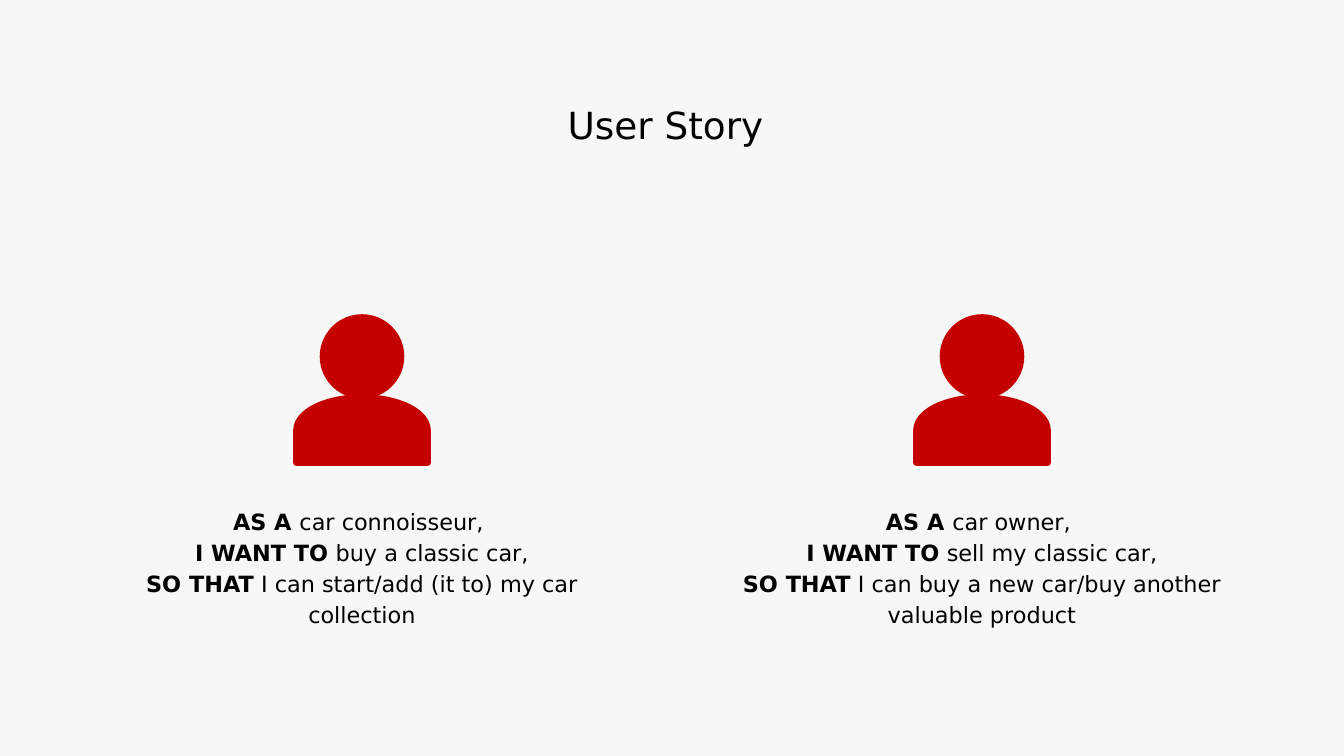
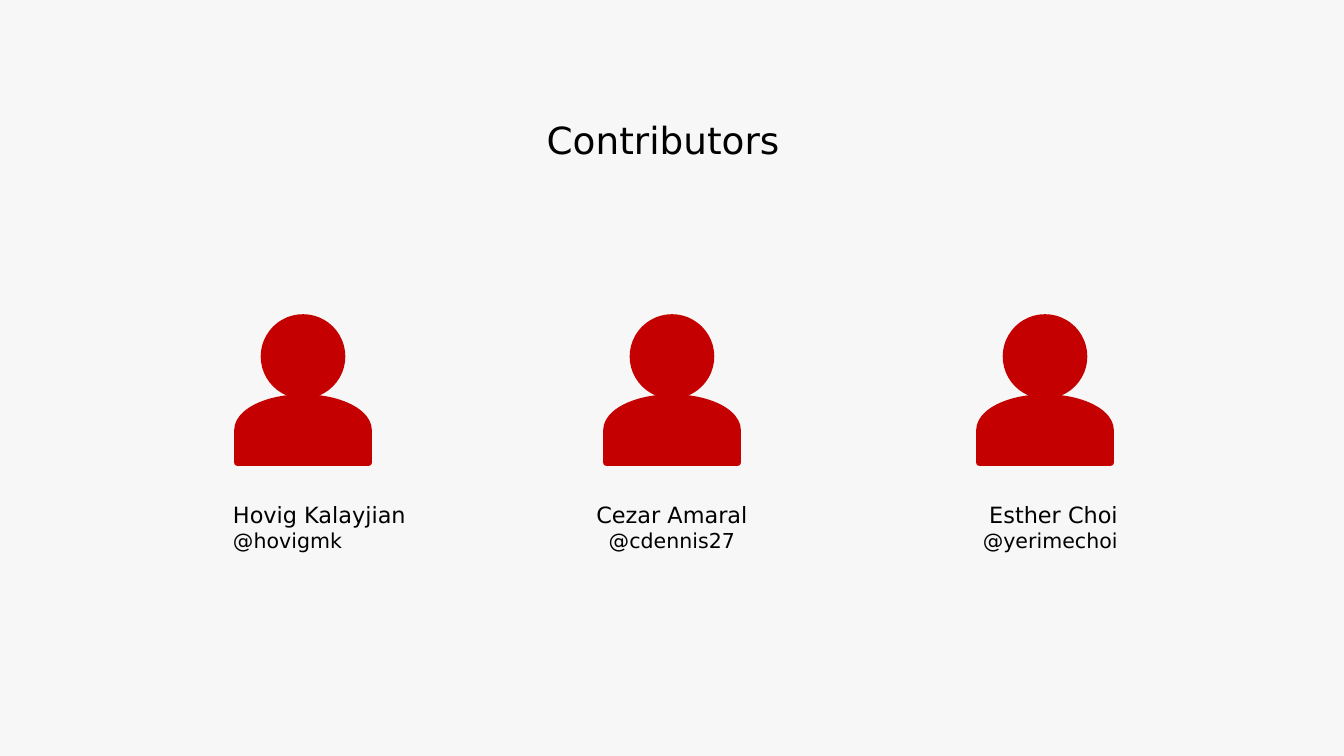
from pptx import Presentation
from pptx.dml.color import RGBColor
from pptx.enum.shapes import MSO_SHAPE
from pptx.enum.text import MSO_ANCHOR, MSO_AUTO_SIZE, PP_ALIGN
from pptx.util import Emu, Pt

FONT = "DejaVu Sans"
BACK, INK, RED = "F7F7F7", "000000", "C50000"
LEFT, MID, RIGHT = PP_ALIGN.LEFT, PP_ALIGN.CENTER, PP_ALIGN.RIGHT

# centre of the person, then the words after each bold lead
LEADS = ["AS A ", "I WANT TO", "SO THAT"]
STORIES = [
    (362, ["car connoisseur, ", " buy a classic car,",
           " I can start/add (it to) my car collection"]),
    (982, ["car owner, ", " sell my classic car,",
           " I can buy a new car/buy another valuable product"]),
]
# centre of the person, name, handle, text left, text width, alignment
TEAM = [
    (303, "Hovig Kalayjian", "@hovigmk", 220, 289, LEFT),
    (672, "Cezar Amaral", "@cdennis27", 549, 246, MID),
    (1045, "Esther Choi", "@yerimechoi", 908, 223, RIGHT),
]
STORY_W = 544
HEAD, HEAD_Y = 79, 317
BODY_W, BODY_H, BODY_Y = 66, 132, 430


def px(n):
    return Emu(round(n * 914400 / 134.4))


def place(*box):
    return [px(n) for n in box]


def color(code):
    return RGBColor.from_string(code)


def write(shape, paras, align=MID, space=None):
    """Fill a shape with paragraphs, each a list of (text, size, bold) runs."""
    frame = shape.text_frame
    frame.word_wrap = True
    frame.auto_size = MSO_AUTO_SIZE.NONE
    frame.vertical_anchor = MSO_ANCHOR.TOP
    frame.margin_left = frame.margin_right = px(13)
    frame.margin_top = frame.margin_bottom = px(13)
    for i, runs in enumerate(paras):
        para = frame.add_paragraph() if i else frame.paragraphs[0]
        para.alignment = align
        if space:
            para.line_spacing = space
        for text, size, bold in runs:
            run = para.add_run()
            run.text = text
            font = run.font
            font.name, font.size, font.bold = FONT, Pt(size), bold
            font.color.rgb = color(INK)


def start(deck, runs):
    slide = deck.slides.add_slide(deck.slide_layouts[5])
    title = slide.shapes.title
    title.left, title.top, title.width, title.height = place(45, 89, 1253, 85)
    write(title, [runs])
    return slide


def person(slide, mid):
    group = slide.shapes.add_group_shape()
    head = group.shapes.add_shape(
        MSO_SHAPE.OVAL, *place(mid - HEAD / 2, HEAD_Y, HEAD, HEAD))
    body = group.shapes.add_shape(
        MSO_SHAPE.FLOWCHART_DELAY,
        *place(mid - BODY_W / 2, BODY_Y - BODY_H / 2, BODY_W, BODY_H))
    body.rotation = 270
    for part in (head, body):
        part.shadow.inherit = False
        part.fill.solid()
        part.fill.fore_color.rgb = color(RED)
        part.line.color.rgb = color(RED)
        part.line.width = Pt(3)


def stories(deck):
    slide = start(deck, [("User Story ", 20, False)])
    for mid, words in STORIES:
        person(slide, mid)
        box = slide.shapes.add_textbox(
            *place(mid - STORY_W / 2, 491, STORY_W, 199))
        write(box, [[(lead, 12, True), (rest, 12, False)]
                    for lead, rest in zip(LEADS, words)], space=1.15)


def team(deck):
    slide = start(deck, [("Contributors", 20, False), (" ", 28, False)])
    for mid, name, handle, left, width, align in TEAM:
        person(slide, mid)
        box = slide.shapes.add_textbox(*place(left, 488, width, 95))
        write(box, [[(name, 12, False)], [(handle, 11, False)]], align)


def main():
    deck = Presentation()
    deck.slide_width, deck.slide_height = place(1344, 756)
    fill = deck.slide_master.background.fill
    fill.solid()
    fill.fore_color.rgb = color(BACK)
    stories(deck)
    team(deck)
    deck.save("out.pptx")


if __name__ == "__main__":
    main()
